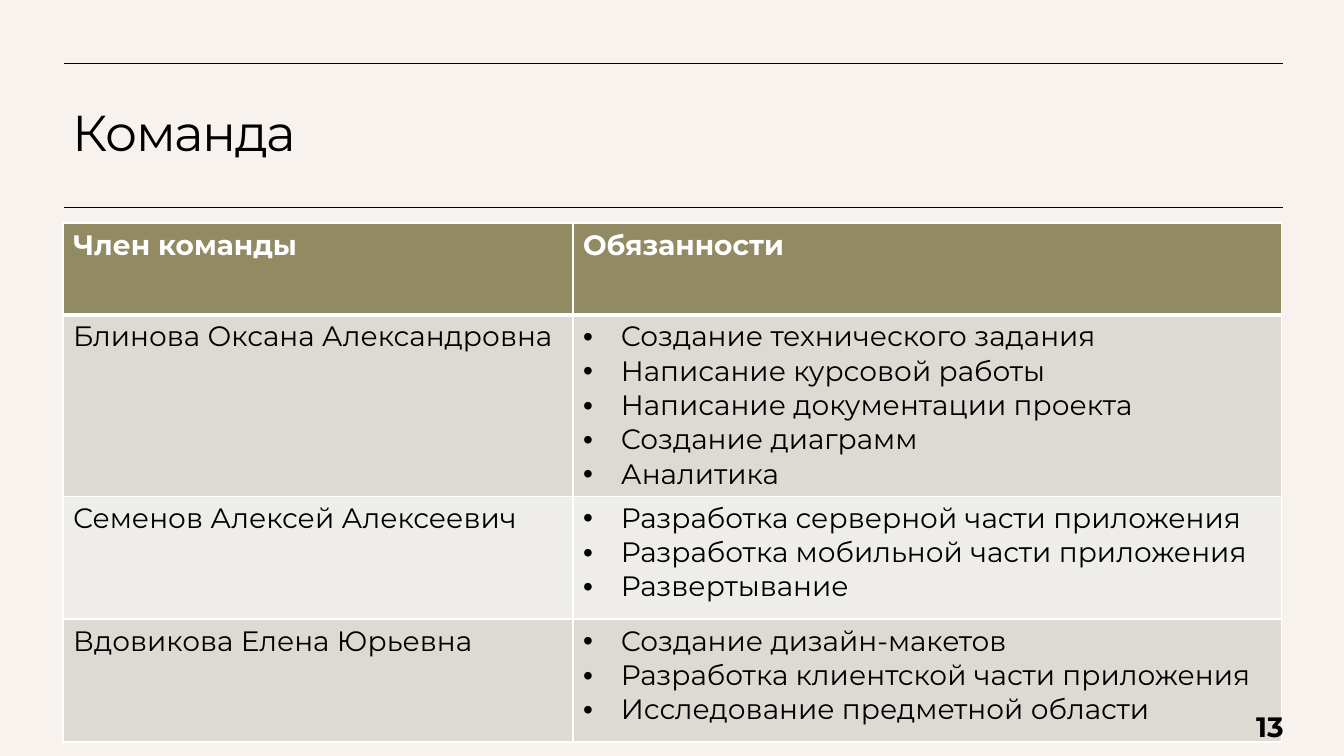
import lxml.etree
import pptx
import pptx.dml.color
import pptx.enum.shapes
import pptx.enum.text
import pptx.oxml.ns
import pptx.util

COLORS = {
    "background": "F7F2EE",
    "ink": "000000",
    "white": "FFFFFF",
    "header": "928A63",
    "dark_band": "DCDAD3",
    "light_band": "EEEDEA",
}
FONT = "Montserrat"
TEAM = [
    ("Блинова Оксана Александровна", [
        "Создание технического задания",
        "Написание курсовой работы",
        "Написание документации проекта",
        "Создание диаграмм",
        "Аналитика",
    ]),
    ("Семенов Алексей Алексеевич", [
        "Разработка серверной части приложения",
        "Разработка мобильной части приложения",
        "Развертывание",
    ]),
    ("Вдовикова Елена Юрьевна", [
        "Создание дизайн-макетов",
        "Разработка клиентской части приложения",
        "Исследование предметной области",
    ]),
]


def points(*values):
    return [pptx.util.Pt(value) for value in values]


def color(name):
    return pptx.dml.color.RGBColor.from_string(COLORS[name])


def add_element(parent, tag, **attributes):
    return lxml.etree.SubElement(parent, pptx.oxml.ns.qn(tag), **attributes)


class TeamSlide:
    """Holds the slide style and draws each kind of element."""

    def __init__(self, presentation):
        self.slide = presentation.slides.add_slide(presentation.slide_layouts[6])
        fill = self.slide.background.fill
        fill.solid()
        fill.fore_color.rgb = color("background")

    def format_text(self, text_frame, size, color_name="ink", bold=False):
        for paragraph in text_frame.paragraphs:
            for run in paragraph.runs:
                run.font.name = FONT
                run.font.size = pptx.util.Pt(size)
                run.font.bold = bold
                run.font.color.rgb = color(color_name)

    def rule(self, left, right, top):
        line = self.slide.shapes.add_connector(
            pptx.enum.shapes.MSO_CONNECTOR.STRAIGHT, *points(left, top, right, top))
        line.line.color.rgb = color("ink")
        line.line.width = pptx.util.Pt(0.5)
        add_element(line._element.spPr, "a:effectLst")

    def text(self, content, box, size, bold=False):
        text_frame = self.slide.shapes.add_textbox(*points(*box)).text_frame
        text_frame.word_wrap = True
        text_frame.vertical_anchor = pptx.enum.text.MSO_ANCHOR.MIDDLE
        text_frame.text = content
        self.format_text(text_frame, size, bold=bold)
        return text_frame.paragraphs[0]

    def borders(self, cell, widths):
        properties = cell._tc.get_or_add_tcPr()
        for index, (side, width) in enumerate(widths.items()):
            line = add_element(properties, "a:ln" + side, w=str(pptx.util.Pt(width)))
            fill = add_element(line, "a:solidFill")
            add_element(fill, "a:srgbClr", val=COLORS["white"])
            properties.insert(index, line)

    def bullets(self, text_frame):
        indent = pptx.util.Pt(27)
        for paragraph in text_frame.paragraphs:
            properties = paragraph._p.get_or_add_pPr()
            properties.set("marL", str(indent))
            properties.set("indent", str(-indent))
            add_element(properties, "a:buFont", typeface="Arial")
            add_element(properties, "a:buChar", char="•")

    def table(self, rows, box, column_widths, row_heights):
        table = self.slide.shapes.add_table(
            len(rows), len(column_widths), *points(*box)).table
        for column, width in zip(table.columns, column_widths):
            column.width = pptx.util.Pt(width)
        for row, height in zip(table.rows, row_heights):
            row.height = pptx.util.Pt(height)
        for row_index, row in enumerate(rows):
            is_header = row_index == 0
            band = "header" if is_header else ("light_band", "dark_band")[row_index % 2]
            widths = {"L": 1, "R": 1, "T": 3 if row_index == 1 else 1,
                      "B": 3 if is_header else 1}
            for column_index, content in enumerate(row):
                cell = table.cell(row_index, column_index)
                cell.text_frame.text = content
                cell.fill.solid()
                cell.fill.fore_color.rgb = color(band)
                self.borders(cell, widths)
                self.format_text(cell.text_frame, 20,
                                 "white" if is_header else "ink", is_header)
                if column_index == 1 and not is_header:
                    self.bullets(cell.text_frame)


def main():
    presentation = pptx.Presentation()
    presentation.slide_width, presentation.slide_height = points(960, 540)
    team_slide = TeamSlide(presentation)
    for top in (45, 148):
        team_slide.rule(45.5, 916.5, top)

    title = team_slide.text("Команда", (45, 54, 870, 85.5), 36)
    title.line_spacing = 0.9
    title.runs[0].font._element.set("spc", "-100")

    rows = [("Член команды", "Обязанности")]
    rows += [(member, "\n".join(duties)) for member, duties in TEAM]
    team_slide.table(rows, (45, 159.3, 870.5, 370.7),
                     (364.3, 506.2), (65.5, 129.6, 87.8, 87.8))

    number = team_slide.text("13", (868.5, 504, 55.5, 29), 20, bold=True)
    number.alignment = pptx.enum.text.PP_ALIGN.RIGHT
    presentation.save("out.pptx")


if __name__ == "__main__":
    main()
